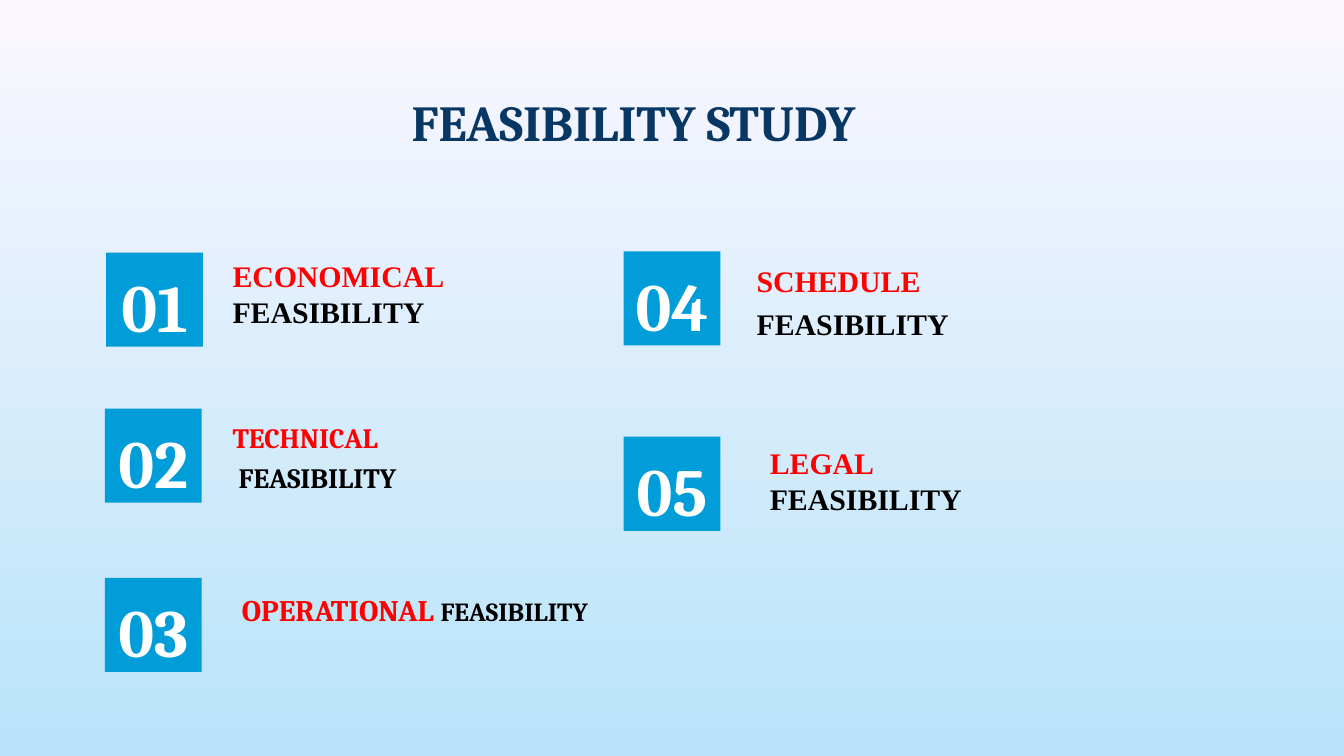
"""Build the feasibility study slide: a title and five numbered topics."""
from dataclasses import dataclass

from pptx import Presentation
from pptx.dml.color import RGBColor as RGB
from pptx.enum.shapes import MSO_SHAPE as Shape
from pptx.enum.text import MSO_ANCHOR as Anchor, MSO_AUTO_SIZE as AutoSize, PP_ALIGN as Align
from pptx.util import Inches, Pt


@dataclass(frozen=True)
class Theme:
    sky_top: RGB = RGB(0xFB, 0xF7, 0xFF)
    sky_bottom: RGB = RGB(0xB8, 0xE3, 0xF9)
    navy: RGB = RGB(0x08, 0x37, 0x63)
    tile: RGB = RGB(0x00, 0x9D, 0xD9)
    red: RGB = RGB(0xFF, 0x00, 0x00)
    black: RGB = RGB(0x00, 0x00, 0x00)
    white: RGB = RGB(0xFF, 0xFF, 0xFF)
    serif: str = "Cambria"
    roman: str = "Times New Roman"
    title: int = 27
    number: int = 36
    label: int = 16
    label_mid: int = 15
    label_small: int = 14


THEME = Theme()
WIDTH = 10
HEIGHT = WIDTH * 9 / 16
COLUMNS = 100
TILE_W, TILE_H = 7.2, 7
LABEL_W, LABEL_H = 26.5, 3


def cells(*counts):
    return [Inches(WIDTH / COLUMNS * n) for n in counts]


def set_font(font, name, size, color):
    font.name, font.size, font.bold = name, Pt(size), True
    font.color.rgb = color


def set_frame(tf, pad_x=0, pad_y=0, anchor=Anchor.TOP, wrap=True):
    tf.margin_left, tf.margin_right = cells(pad_x, pad_x)
    tf.margin_top, tf.margin_bottom = cells(pad_y, pad_y)
    tf.vertical_anchor, tf.word_wrap = anchor, wrap


def set_line(tf, text, name, size, color, spacing):
    p = tf.paragraphs[0]
    p.text, p.alignment, p.line_spacing = text, Align.CENTER, spacing
    set_font(p.font, name, size, color)


def paint_background(slide):
    fill = slide.background.fill
    fill.gradient()
    fill.gradient_angle = 270
    for stop, color in zip(fill.gradient_stops, (THEME.sky_top, THEME.sky_bottom)):
        stop.color.rgb = color
    fill.gradient_stops[0].position, fill.gradient_stops[1].position = 0, 1


def add_title(slide, text):
    tf = slide.shapes.add_textbox(*cells(15.1, 5.2, 64.9, 8.2)).text_frame
    set_frame(tf, 1, 1, Anchor.MIDDLE)
    set_line(tf, text, THEME.serif, THEME.title, THEME.navy, 0.9)


def add_tile(slide, number, left, top):
    sp = slide.shapes.add_shape(Shape.RECTANGLE, *cells(left, top, TILE_W, TILE_H))
    sp.shadow.inherit = False
    sp.fill.solid()
    sp.fill.fore_color.rgb = THEME.tile
    sp.line.fill.background()
    set_frame(sp.text_frame, anchor=Anchor.MIDDLE)
    set_line(sp.text_frame, f"{number:02}", THEME.serif, THEME.number, THEME.white, 1.15)


def add_label(slide, left, top, lines, font, sizes, spacing, hug=False):
    size = (16.4, 6.4) if hug else (LABEL_W, LABEL_H)
    tf = slide.shapes.add_textbox(*cells(left, top, *size)).text_frame
    if hug:
        set_frame(tf, 1, 0.5, wrap=False)
        tf.auto_size = AutoSize.SHAPE_TO_FIT_TEXT
    else:
        set_frame(tf)
    styles = iter(zip((THEME.red, THEME.black), sizes))
    for i, line in enumerate(lines):
        p = tf.add_paragraph() if i else tf.paragraphs[0]
        p.line_spacing = spacing
        for text in line:
            color, points = next(styles)
            r = p.add_run()
            r.text = text
            set_font(r.font, font, points, color)


def main():
    prs = Presentation()
    prs.slide_width, prs.slide_height = Inches(WIDTH), Inches(HEIGHT)
    slide = prs.slides.add_slide(prs.slide_layouts[6])
    paint_background(slide)
    add_title(slide, "FEASIBILITY STUDY ")

    t = THEME
    large, middle, mixed = (t.label,) * 2, (t.label_mid,) * 2, (t.label, t.label_small)
    topics = [
        ((7.9, 18.8), (17.3, 19.2, [["ECONOMICAL", " FEASIBILITY"]], t.roman, large, 1.0)),
        ((7.8, 30.4), (17.3, 30.8, [["TECHNICAL"], [" FEASIBILITY"]], t.serif, middle, 1.2)),
        ((7.8, 43), (18, 43.5, [["OPERATIONAL ", "FEASIBILITY"]], t.serif, mixed, 1.2)),
        ((46.4, 18.7), (56.3, 19, [["SCHEDULE"], ["FEASIBILITY"]], t.roman, large, 1.2)),
        ((46.4, 32.5), (56.3, 32.6, [["LEGAL"], ["FEASIBILITY"]], t.roman, large, 1.0, True)),
    ]
    for number, (tile, label) in enumerate(topics, 1):
        add_tile(slide, number, *tile)
        add_label(slide, *label)
    prs.save("out.pptx")


if __name__ == "__main__":
    main()
